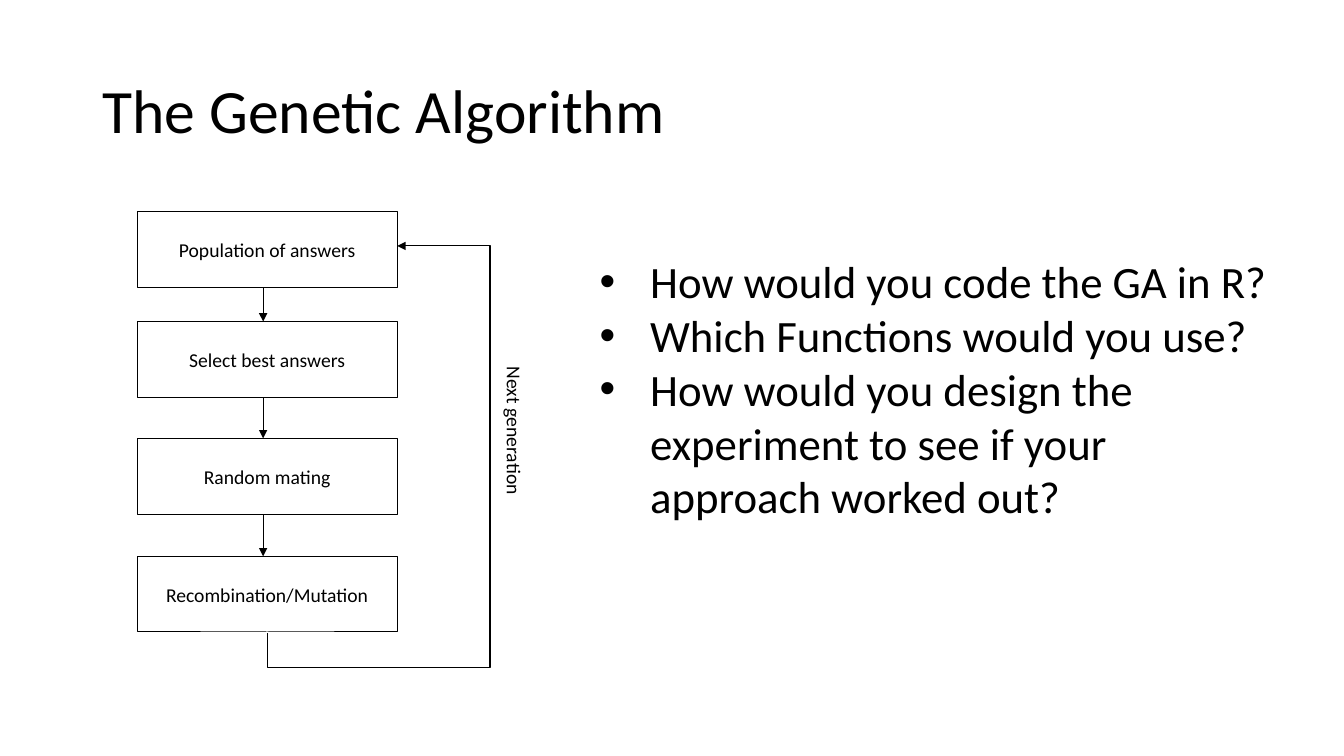
import pptx
import pptx.dml.color
import pptx.enum.shapes
import pptx.enum.text
import pptx.oxml.ns
import pptx.util
from lxml import etree
from pptx.util import Inches

FONT = "Calibri"
COLORS = {"ink": "000000"}
BOX_LEFT, BOX_WIDTH, BOX_HEIGHT = 1.36, 2.58, 0.75
ARROW_X = 2.61
STEPS = [
    ("Population of answers", 2.1),
    ("Select best answers", 3.19),
    ("Random mating", 4.35),
    ("Recombination/Mutation", 5.52),
]
LOOP_POINTS = [(2.65, 6.28), (2.65, 6.62), (4.86, 6.62), (4.86, 2.44), (3.94, 2.44)]
QUESTIONS = [
    "How would you code the GA in R?",
    "Which Functions would you use?",
    "How would you design the experiment to see if your approach worked out?",
]


def ink():
    return pptx.dml.color.RGBColor.from_string(COLORS["ink"])


def add_child(parent, tag, **attributes):
    return etree.SubElement(parent, pptx.oxml.ns.qn(tag), attributes)


def format_text(text_frame, size):
    for paragraph in text_frame.paragraphs:
        for run in paragraph.runs:
            run.font.name = FONT
            run.font.size = pptx.util.Pt(size)
            run.font.color.rgb = ink()


def format_line(shape):
    shape.line.color.rgb = ink()
    shape.line.width = pptx.util.Pt(0.75)


def add_arrowhead(shape):
    line = shape.element.spPr.find(pptx.oxml.ns.qn("a:ln"))
    add_child(line, "a:tailEnd", type="triangle")


def add_text(slide, text, left, top, width, height, size, wrap=True):
    shape = slide.shapes.add_textbox(Inches(left), Inches(top), Inches(width), Inches(height))
    shape.text_frame.text = text
    shape.text_frame.word_wrap = wrap
    format_text(shape.text_frame, size)
    return shape


def add_title(slide, text):
    shape = add_text(slide, text, 0.92, 0.4, 11.5, 1.45, 44)
    shape.text_frame.vertical_anchor = pptx.enum.text.MSO_ANCHOR.MIDDLE
    shape.text_frame.paragraphs[0].line_spacing = 0.9


def add_step(slide, text, top):
    shape = slide.shapes.add_shape(
        pptx.enum.shapes.MSO_SHAPE.RECTANGLE,
        Inches(BOX_LEFT), Inches(top), Inches(BOX_WIDTH), Inches(BOX_HEIGHT),
    )
    shape.shadow.inherit = False
    shape.fill.background()
    format_line(shape)
    text_frame = shape.text_frame
    text_frame.text = text
    text_frame.word_wrap = False
    text_frame.vertical_anchor = pptx.enum.text.MSO_ANCHOR.MIDDLE
    text_frame.paragraphs[0].alignment = pptx.enum.text.PP_ALIGN.CENTER
    format_text(text_frame, 14)
    return shape


def add_arrow(slide, top, bottom):
    connector = slide.shapes.add_connector(
        pptx.enum.shapes.MSO_CONNECTOR.STRAIGHT,
        Inches(ARROW_X), Inches(top), Inches(ARROW_X), Inches(bottom),
    )
    format_line(connector)
    add_arrowhead(connector)
    add_child(connector.element.spPr, "a:effectLst")


def add_loop(slide, points):
    start, *others = [(Inches(x), Inches(y)) for x, y in points]
    builder = slide.shapes.build_freeform(*start)
    builder.add_line_segments(others, close=False)
    shape = builder.convert_to_shape()
    shape.shadow.inherit = False
    shape.fill.background()
    format_line(shape)
    add_arrowhead(shape)


def add_questions(slide, questions):
    shape = add_text(slide, "\n".join(questions), 5.85, 2.47, 7, 2.79, 32)
    for paragraph in shape.text_frame.paragraphs:
        properties = paragraph._p.get_or_add_pPr()
        properties.set("marL", str(Inches(0.5)))
        properties.set("indent", str(Inches(-0.5)))
        add_child(properties, "a:buFont", typeface="Arial")
        add_child(properties, "a:buChar", char="•")


def main():
    presentation = pptx.Presentation()
    presentation.slide_width = Inches(13.33)
    presentation.slide_height = Inches(7.5)
    slide = presentation.slides.add_slide(presentation.slide_layouts[6])

    add_title(slide, "The Genetic Algorithm")
    for text, top in STEPS:
        add_step(slide, text, top)
    for (_, top), (_, next_top) in zip(STEPS, STEPS[1:]):
        add_arrow(slide, top + BOX_HEIGHT, next_top)
    add_loop(slide, LOOP_POINTS)
    label = add_text(slide, "Next generation", 4.32, 4.16, 1.57, 0.33, 14, wrap=False)
    label.rotation = 90
    add_questions(slide, QUESTIONS)

    presentation.save("out.pptx")


if __name__ == "__main__":
    main()
